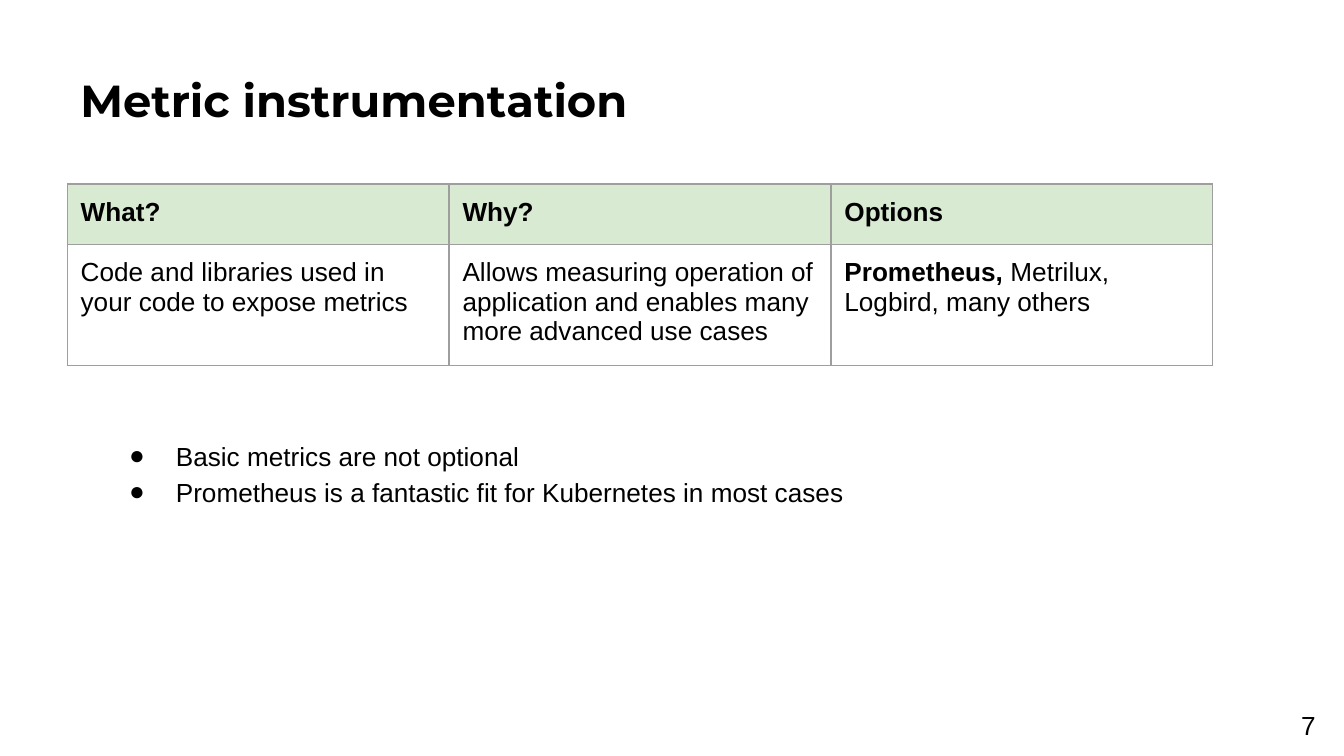
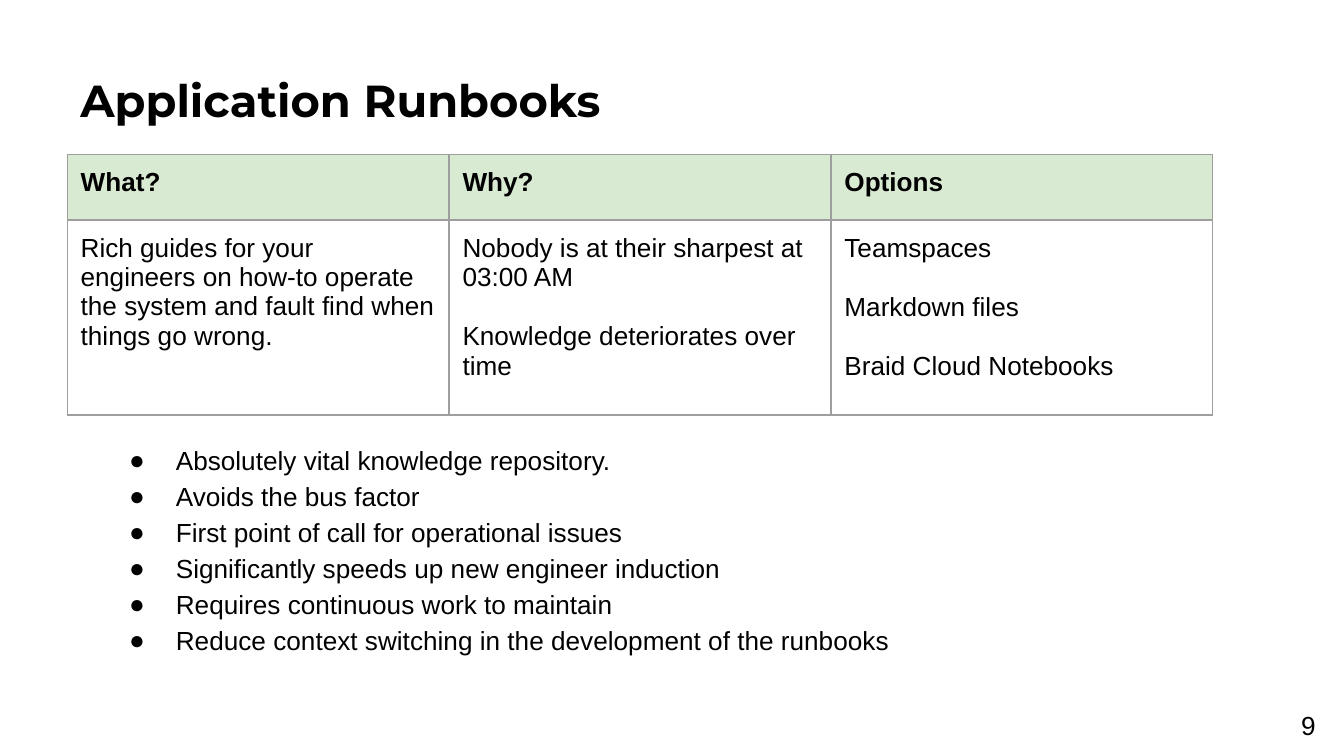
"""Build two slides on running applications, each with a table and bullets."""
import pptx
import pptx.dml.color
import pptx.enum.text
import pptx.oxml
import pptx.oxml.ns
import pptx.util

Pt = pptx.util.Pt
RGB = pptx.dml.color.RGBColor
ALIGN = pptx.enum.text.PP_ALIGN
ANCHOR = pptx.enum.text.MSO_ANCHOR

BLACK = RGB(0x00, 0x00, 0x00)
GREEN = RGB(0xD9, 0xEA, 0xD3)
GREY = RGB(0x9E, 0x9E, 0x9E)
WHITE = RGB(0xFF, 0xFF, 0xFF)
INSET = 7.2
WIDE = 613.8
HEADS = ("What?", "Why?", "Options")

PAGES = [
    dict(
        title="Metric instrumentation", number="7",
        top=98.6, rows=(32.4, 31.7),
        cells=(
            ["Code and libraries used in your code to expose metrics"],
            ["Allows measuring operation of application and enables many "
             "more advanced use cases"],
            [[("Prometheus, ", True), ("Metrilux, Logbird, many others", False)]],
        ),
        list_box=(51.1, 226, 553.7, 108.7),
        points=[
            "Basic metrics are not optional",
            "Prometheus is a fantastic fit for Kubernetes in most cases",
        ],
    ),
    dict(
        title="Application Runbooks", number="9",
        top=82.6, rows=(35.3, 104.4),
        cells=(
            ["Rich guides for your engineers on how-to operate the system "
             "and fault find when things go wrong."],
            ["Nobody is at their sharpest at 03:00 AM",
             "Knowledge deteriorates over time"],
            ["Teamspaces", "Markdown files", "Braid Cloud Notebooks"],
        ),
        list_box=(51.1, 228.5, 553.7, 136.8),
        points=[
            "Absolutely vital knowledge repository.",
            "Avoids the bus factor",
            "First point of call for operational issues",
            "Significantly speeds up new engineer induction",
            "Requires continuous work to maintain",
            "Reduce context switching in the development of the runbooks",
        ],
    ),
]


def add_xml(parent, tag, body="", attrs=""):
    """Append one drawing element to its parent."""
    space = pptx.oxml.ns.nsdecls("a")
    parent.append(pptx.oxml.parse_xml(f"<a:{tag} {space} {attrs}>{body}</a:{tag}>"))


def add_bullet(para):
    """Give a paragraph a round black bullet with a hanging indent."""
    props = para._p.get_or_add_pPr()
    props.set("marL", str(Pt(36)))
    props.set("indent", str(-Pt(25)))
    add_xml(props, "buClr", f'<a:srgbClr val="{BLACK}"/>')
    add_xml(props, "buFont", attrs='typeface="Arial"')
    add_xml(props, "buChar", attrs='char="●"')


def put_text(frame, paras, size=14, font="Arial", bold=False, color=BLACK,
             align=ALIGN.LEFT, line=None, gap=0, bullet=False):
    """Fill a text frame with paragraphs of plain text or (text, bold) runs."""
    for index, item in enumerate(paras):
        para = frame.add_paragraph() if index else frame.paragraphs[0]
        if bullet:
            add_bullet(para)
        para.alignment = align
        if line:
            para.line_spacing = line
        if index and gap:
            para.space_before = Pt(gap)
        runs = [(item, bold)] if isinstance(item, str) else item
        for text, heavy in runs:
            run = para.add_run()
            run.text = text
            run.font.size = Pt(size)
            run.font.name = font
            run.font.bold = heavy
            run.font.color.rgb = color


def add_box(slide, box, paras, anchor=ANCHOR.TOP, **style):
    """Place a wrapped text box with even insets."""
    frame = slide.shapes.add_textbox(*map(Pt, box)).text_frame
    frame.word_wrap = True
    frame.vertical_anchor = anchor
    frame.margin_left = frame.margin_right = Pt(INSET)
    frame.margin_top = frame.margin_bottom = Pt(INSET)
    put_text(frame, paras, **style)


def add_frame(slide, title, number):
    """Place the white ground, title and page number."""
    slide.background.fill.solid()
    slide.background.fill.fore_color.rgb = WHITE
    add_box(slide, (36, 30.2, 650.2, 46.8), [title], ANCHOR.MIDDLE,
            size=24, font="Montserrat", bold=True)
    add_box(slide, (683.3, 373, 35.3, 31), [number], ANCHOR.MIDDLE,
            align=ALIGN.CENTER)


def style_cell(cell, fill):
    """Give a cell its insets, thin grey borders and fill."""
    cell.margin_left = cell.margin_right = Pt(INSET)
    cell.margin_top = cell.margin_bottom = Pt(INSET)
    props = cell._tc.get_or_add_tcPr()
    paint = f'<a:solidFill><a:srgbClr val="{GREY}"/></a:solidFill>'
    for side in "LRTB":
        add_xml(props, f"ln{side}", paint, f'w="{Pt(0.75)}"')
    if fill:
        cell.fill.solid()
        cell.fill.fore_color.rgb = fill
    else:
        cell.fill.background()


def add_grid(slide, box, rows, cells):
    """Place the table: a green head row over one row of answers."""
    shape = slide.shapes.add_table(len(rows), len(HEADS), *map(Pt, box))
    table = shape.table
    table.first_row = table.horz_banding = False
    for row, height in zip(table.rows, rows):
        row.height = Pt(height)
    for col, (head, body) in enumerate(zip(HEADS, cells)):
        table.columns[col].width = Pt(box[2] / len(HEADS))
        top, low = table.cell(0, col), table.cell(1, col)
        style_cell(top, GREEN)
        style_cell(low, None)
        put_text(top.text_frame, [head], bold=True)
        put_text(low.text_frame, body, gap=16)


def add_page(deck, page):
    """Add one slide with its frame, table and bullet list."""
    slide = deck.slides.add_slide(deck.slide_layouts[6])
    add_frame(slide, page["title"], page["number"])
    rows = page["rows"]
    add_grid(slide, (36, page["top"], WIDE, sum(rows)), rows, page["cells"])
    add_box(slide, page["list_box"], page["points"], line=1.15, bullet=True)


def main():
    """Build and save the deck."""
    deck = pptx.Presentation()
    deck.slide_width, deck.slide_height = Pt(720), Pt(405)
    for page in PAGES:
        add_page(deck, page)
    deck.save("out.pptx")


if __name__ == "__main__":
    main()
